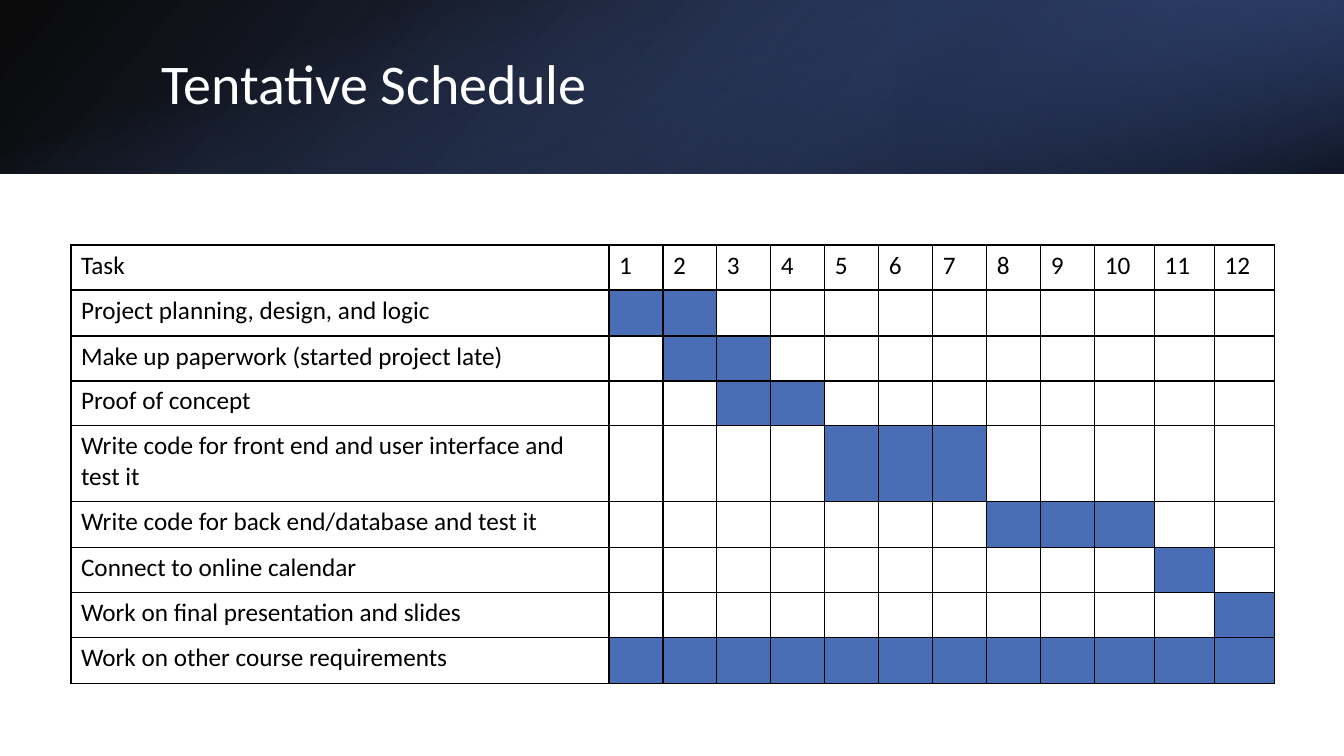
from pptx import Presentation
from pptx.dml.color import RGBColor
from pptx.enum.shapes import MSO_SHAPE
from pptx.enum.text import MSO_ANCHOR, MSO_AUTO_SIZE, PP_ALIGN
from pptx.oxml.ns import qn
from pptx.util import Pt
from lxml import etree

RECT = MSO_SHAPE.RECTANGLE
MIDDLE = MSO_ANCHOR.MIDDLE
LEFT = PP_ALIGN.LEFT
NO_FIT = MSO_AUTO_SIZE.NONE
TITLE_ONLY = 5
WIDTH, HEIGHT, BAND = 1344, 756, 174
WEEKS = 12
COLORS = {"black": "000000", "white": "FFFFFF", "accent": "4A66AC",
          "royal": "384C81", "navy": "253356", "bar": "4A6EB6"}
TASKS = [
    ("Project planning, design, and logic", 1, 2),
    ("Make up paperwork (started project late)", 2, 3),
    ("Proof of concept", 3, 4),
    ("Write code for front end and user interface and test it", 5, 7),
    ("Write code for back end/database and test it", 8, 10),
    ("Connect to online calendar", 11, 11),
    ("Work on final presentation and slides", 12, 12),
    ("Work on other course requirements", 1, WEEKS),
]
COLUMN_WIDTHS = [538] + [54] * 9 + [60] * 3
ROW_HEIGHTS = [45, 46, 45, 45, 76, 46, 45, 45, 46]


def px(n):
    return round(n * 12192000 / WIDTH)


def rgb(name):
    return RGBColor.from_string(COLORS[name])


class Deck:
    font = "Calibri"

    def __init__(self):
        self.prs = Presentation()
        self.prs.slide_width, self.prs.slide_height = px(WIDTH), px(HEIGHT)
        self.s = self.prs.slides.add_slide(self.prs.slide_layouts[TITLE_ONLY])

    def style(self, p, size, color):
        for r in p.runs:
            r.font.size = Pt(size)
            r.font.name = self.font
            r.font.color.rgb = rgb(color)

    def gradient(self, box, stops, angle, rotation=0, flip=False):
        sp = self.s.shapes.add_shape(RECT, *map(px, box))
        sp.shadow.inherit = False
        sp.line.fill.background()
        sp.rotation = rotation
        if flip:
            sp._element.spPr.find(qn("a:xfrm")).set("flipH", "1")
        sp.fill.gradient()
        sp.fill.gradient_angle = 360 - angle
        for stop, (position, color, opacity) in zip(sp.fill.gradient_stops, stops):
            stop.position = position / 100
            stop.color.rgb = rgb(color)
        for clr, (_, _, opacity) in zip(sp._element.spPr.iter(qn("a:srgbClr")), stops):
            etree.SubElement(clr, qn("a:alpha")).set("val", str(opacity * 1000))

    def title(self, text, box, size, color):
        sp = self.s.shapes.title
        self.s.shapes._spTree.append(sp._element)
        sp.left, sp.top, sp.width, sp.height = map(px, box)
        tf = sp.text_frame
        tf.text = text
        tf.word_wrap = True
        tf.auto_size = NO_FIT
        tf.vertical_anchor = MIDDLE
        p = tf.paragraphs[0]
        p.alignment = LEFT
        p.line_spacing = 0.9
        self.style(p, size, color)

    def border(self, cell, color, width):
        tcPr = cell._tc.get_or_add_tcPr()
        for i, side in enumerate(("lnL", "lnR", "lnT", "lnB")):
            ln = etree.Element(qn("a:" + side), w=str(Pt(width)))
            fill = etree.SubElement(ln, qn("a:solidFill"))
            etree.SubElement(fill, qn("a:srgbClr"), val=COLORS[color])
            tcPr.insert(i, ln)

    def cell(self, cell, text, size, fill):
        if fill:
            cell.fill.solid()
            cell.fill.fore_color.rgb = rgb(fill)
        else:
            cell.fill.background()
        self.border(cell, "black", 1)
        p = cell.text_frame.paragraphs[0]
        if text:
            p.text = text
            self.style(p, size, "black")
        else:
            p.font.size = Pt(size)

    def schedule(self, left, top, size):
        rows = [["Task", *map(str, range(1, WEEKS + 1))]]
        rows += [[name] + [""] * WEEKS for name, _, _ in TASKS]
        box = left, top, sum(COLUMN_WIDTHS), sum(ROW_HEIGHTS)
        table = self.s.shapes.add_table(len(rows), WEEKS + 1, *map(px, box)).table
        table.first_row = table.horz_banding = False
        for column, width in zip(table.columns, COLUMN_WIDTHS):
            column.width = px(width)
        for row, height in zip(table.rows, ROW_HEIGHTS):
            row.height = px(height)
        for i, texts in enumerate(rows):
            for week, text in enumerate(texts):
                busy = i > 0 and TASKS[i - 1][1] <= week <= TASKS[i - 1][2]
                self.cell(table.cell(i, week), text, size, "bar" if busy else None)


def main():
    deck = Deck()
    deck.gradient((0, 0, WIDTH, BAND),
                  [(0, "black", 96), (100, "royal", 100)], 140, flip=True)
    deck.gradient((896, 0, 448, BAND),
                  [(19, "navy", 68), (100, "accent", 79)], 320, 180, flip=True)
    offset = (WIDTH - BAND) // 2
    deck.gradient((offset, -offset, BAND, WIDTH),
                  [(23, "accent", 0), (99, "black", 74)], 340, 90)
    deck.title("Tentative Schedule", (151, 38, 1107, 97), 40, "white")
    deck.schedule(71, 245, 18)
    deck.prs.save("out.pptx")


if __name__ == "__main__":
    main()
